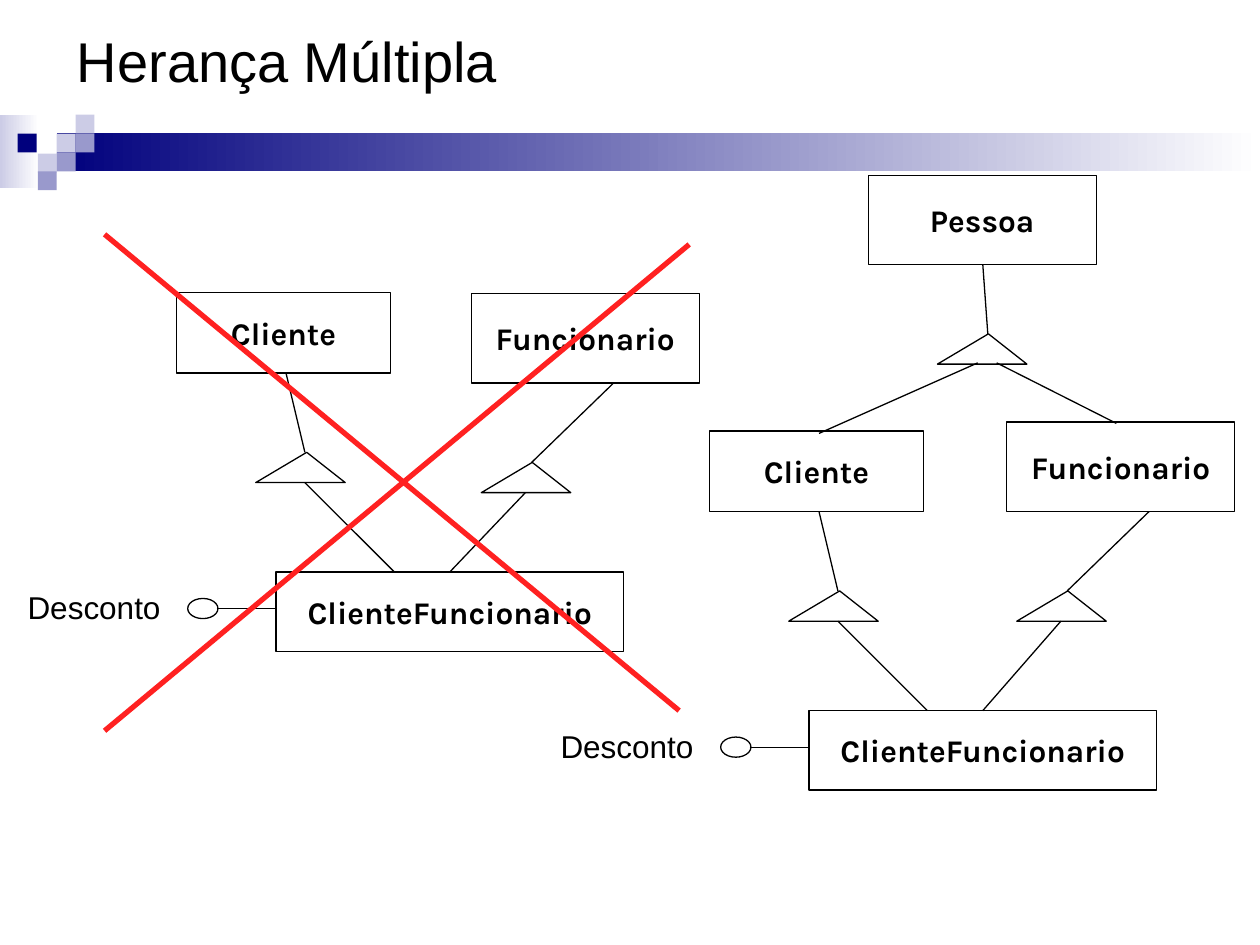
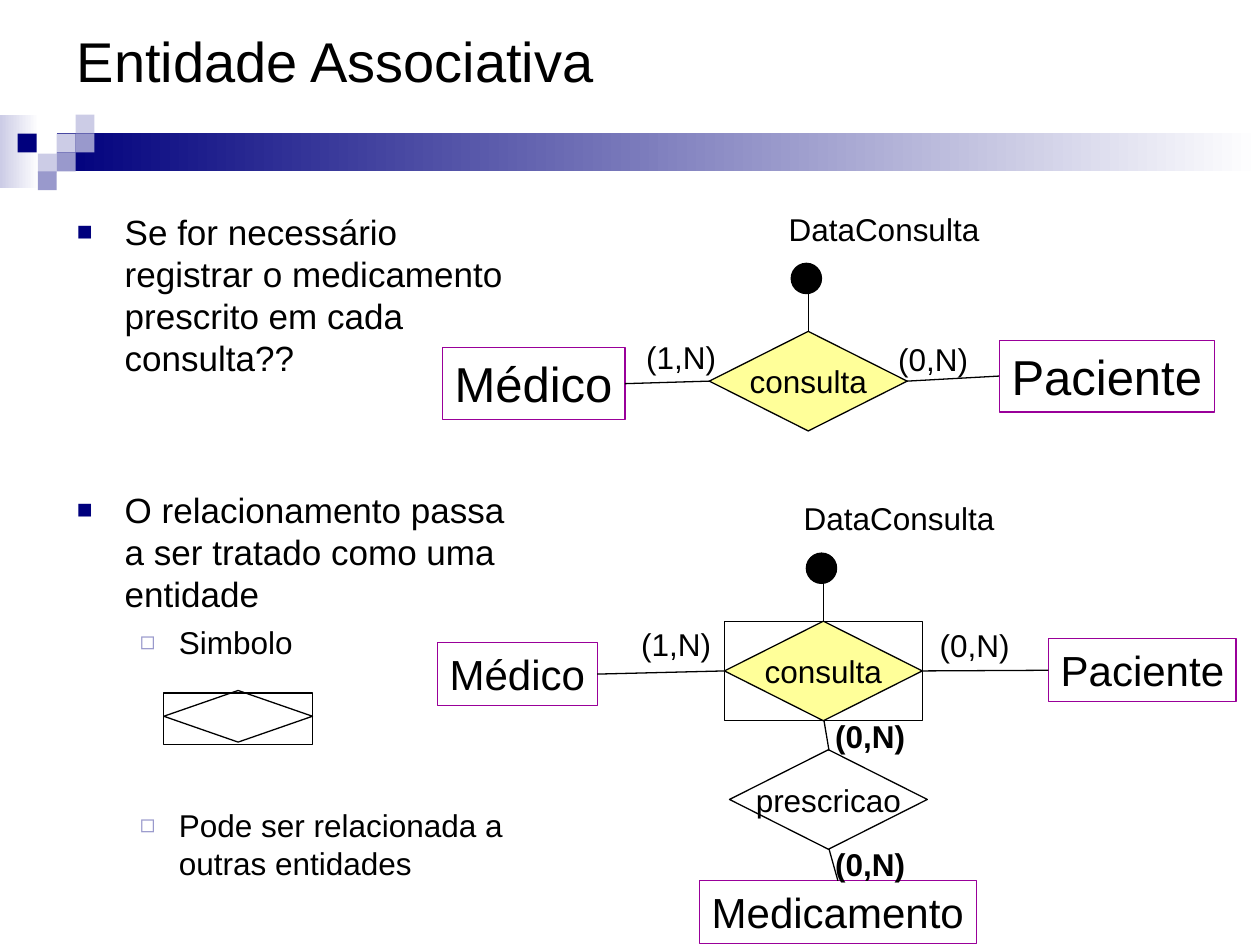
from dataclasses import dataclass

from lxml import etree
from pptx import Presentation
from pptx import util as u
from pptx.dml.color import RGBColor
from pptx.enum import shapes, text
from pptx.oxml.ns import qn

COLUMNS, ROWS = 100, 75
KIND = shapes.MSO_SHAPE


@dataclass(frozen=True)
class Theme:
    black: str = "000000"
    white: str = "FFFFFF"
    navy: str = "00007D"
    periwinkle: str = "9999CC"
    lavender: str = "CCCCE6"
    purple: str = "990099"
    yellow: str = "FFFF99"
    red: str = "FF2121"
    sans: str = "Arial"
    class_font: str = "Karla"
    title_size: int = 32
    entity_size: int = 28
    small_entity_size: int = 24
    body_size: int = 20
    label_size: int = 18
    thin: float = 0.75
    thick: float = 3


class Deck:
    def __init__(self, theme):
        self.theme = theme
        self.prs = Presentation()
        self.prs.slide_width, self.prs.slide_height = u.Inches(10), u.Inches(7.5)
        self.slide = None

    def x(self, columns):
        return round(self.prs.slide_width * columns / COLUMNS)

    def y(self, rows):
        return round(self.prs.slide_height * rows / ROWS)

    def box(self, left, top, width, height):
        return self.x(left), self.y(top), self.x(width), self.y(height)

    def place(self, holder, *box):
        holder.left, holder.top, holder.width, holder.height = self.box(*box)

    def new_slide(self, layout, heading):
        self.slide = self.prs.slides.add_slide(self.prs.slide_layouts[layout])
        title = self.slide.shapes.title
        self.place(title, 5.1, 0, 90, 9.5)
        self.set_words(title, heading, self.theme.title_size)

    def style(self, paragraph, size, font=None, bold=False):
        for run in paragraph.runs:
            run.font.name = font or self.theme.sans
            run.font.size = u.Pt(size)
            run.font.bold = bold
            run.font.color.rgb = RGBColor.from_string(self.theme.black)

    def set_words(self, holder, words, size, font=None, bold=False, align="LEFT",
                  anchor="MIDDLE", wrap=True):
        frame = holder.text_frame
        frame.text = words
        frame.word_wrap = wrap
        frame.auto_size = text.MSO_AUTO_SIZE.NONE
        frame.vertical_anchor = text.MSO_ANCHOR[anchor]
        paragraph = frame.paragraphs[0]
        paragraph.alignment = text.PP_ALIGN[align]
        self.style(paragraph, size, font, bold)

    def shape(self, kind, box, fill=None, line=None):
        figure = self.slide.shapes.add_shape(kind, *self.box(*box))
        figure.shadow.inherit = False
        if isinstance(fill, tuple):
            figure.fill.gradient()
            figure.fill.gradient_angle = 0
            for stop, color in zip(figure.fill.gradient_stops, fill):
                stop.color.rgb = RGBColor.from_string(color)
        elif fill:
            figure.fill.solid()
            figure.fill.fore_color.rgb = RGBColor.from_string(fill)
        else:
            figure.fill.background()
        if line:
            figure.line.color.rgb = RGBColor.from_string(line)
            figure.line.width = u.Pt(self.theme.thin)
        else:
            figure.line.fill.background()
        return figure

    def line(self, start, end, color=None, width=None):
        link = self.slide.shapes.add_connector(
            shapes.MSO_CONNECTOR.STRAIGHT,
            self.x(start[0]), self.y(start[1]), self.x(end[0]), self.y(end[1]))
        link.line.color.rgb = RGBColor.from_string(color or self.theme.black)
        link.line.width = u.Pt(width or self.theme.thin)
        etree.SubElement(link.element.spPr, qn("a:effectLst"))

    def label(self, words, left, top, width, bold=False):
        holder = self.slide.shapes.add_textbox(*self.box(left, top, width, 4))
        self.set_words(holder, words, self.theme.label_size, bold=bold,
                       anchor="TOP", wrap=False)

    def uml_class(self, name, *box):
        figure = self.shape(KIND.RECTANGLE, box, self.theme.white, self.theme.black)
        self.set_words(figure, name, self.theme.label_size, self.theme.class_font,
                       True, "CENTER", wrap=False)

    def inheritance(self, left, top):
        arrow = self.shape(KIND.ISOSCELES_TRIANGLE, (left, top, 7.1, 2.4),
                           self.theme.white, self.theme.black)
        arrow.adjustments[0] = 0.57

    def entity(self, name, box, size):
        figure = self.shape(KIND.RECTANGLE, box, line=self.theme.purple)
        self.set_words(figure, name, size, anchor="TOP", wrap=False)

    def relationship(self, name, left, top, fill=None):
        figure = self.shape(KIND.DIAMOND, (left, top, 15.7, 7.9), fill, self.theme.black)
        self.set_words(figure, name, self.theme.label_size, align="CENTER", wrap=False)

    def bullets(self, box, items):
        t = self.theme
        levels = [(t.body_size, 0.38, 0.38, "■", t.navy, 75),
                  (t.label_size, 0.81, 0.31, "◻", t.periwinkle, 80)]
        body = self.slide.placeholders[1]
        self.place(body, *box)
        frame = body.text_frame
        frame.text = "\n".join(words for words, _, _ in items)
        frame.auto_size = text.MSO_AUTO_SIZE.NONE
        for paragraph, (_, level, space) in zip(frame.paragraphs, items):
            size, margin, hanging, mark, color, share = levels[level]
            paragraph.level = level
            paragraph.space_before = u.Pt(space)
            self.style(paragraph, size)
            props = paragraph._p.get_or_add_pPr()
            props.set("marL", str(u.Inches(margin)))
            props.set("indent", str(-u.Inches(hanging)))
            tint = etree.SubElement(props, qn("a:buClr"))
            etree.SubElement(tint, qn("a:srgbClr"), val=color)
            etree.SubElement(props, qn("a:buSzPct"), val=str(share * 1000))
            etree.SubElement(props, qn("a:buFont"), typeface=t.sans)
            etree.SubElement(props, qn("a:buChar"), char=mark)

    def band_on_master(self):
        t = self.theme
        parts = [((0, 9.1, 3.1, 5.8), (t.lavender, t.white)),
                 ((4.5, 10.6, 95.5, 3), (t.navy, t.white))]
        tiles = [(4.5, 10.6, t.lavender), (6, 9.1, t.lavender), (6, 10.6, t.periwinkle),
                 (3, 12.2, t.lavender), (1.4, 10.6, t.navy), (4.5, 12.1, t.periwinkle),
                 (3, 13.6, t.periwinkle)]
        parts += [((left, top, 1.5, 1.5), color) for left, top, color in tiles]
        tree = self.prs.slide_master.element.cSld.spTree
        for box, fill in parts:
            tree.append(self.shape(KIND.RECTANGLE, box, fill).element)


def class_diagram(deck, client, employee):
    cx, cy = client
    ex, ey = employee
    sub_x, sub_y = cx + 7.9, cy + 22.2
    deck.uml_class("Cliente", cx, cy, 17, 6.4)
    deck.uml_class("Funcionario", ex, ey, 18.1, 7.1)
    deck.uml_class("ClienteFuncionario", sub_x, sub_y, 27.6, 6.3)
    deck.inheritance(cx + 6.3, cy + 12.7)
    deck.line((cx + 10.2, cy + 12.7), (cx + 8.7, cy + 6.4))
    deck.line((cx + 10.2, cy + 15.1), (sub_x + 9.4, sub_y))
    deck.inheritance(ex + 0.8, ey + 13.4)
    deck.line((ex + 11.3, ey + 7.1), (ex + 4.8, ey + 13.4))
    deck.line((ex + 4.3, ey + 15.8), (sub_x + 13.8, sub_y))
    deck.shape(KIND.OVAL, (sub_x - 7, sub_y + 2.1, 2.4, 1.6), line=deck.theme.black)
    deck.line((sub_x - 4.7, sub_y + 2.9), (sub_x, sub_y + 2.9))
    deck.label("Desconto", sub_x - 20.7, sub_y + 0.8, 13.2)


def consultation(deck, left, top, size, doctor, patient, doctor_label, patient_label):
    t = deck.theme
    middle, axis = left + 7.85, top + 3.95
    deck.entity("Médico", doctor, size)
    deck.entity("Paciente", patient, size)
    deck.relationship("consulta", left, top, t.yellow)
    deck.line((doctor[0] + doctor[2], doctor[1] + doctor[3] / 2), (left, axis))
    deck.line((left + 15.7, axis), (patient[0], patient[1] + patient[3] / 2))
    deck.label("(1,N)", *doctor_label, 7.5)
    deck.label("(0,N)", *patient_label, 7.5)
    deck.line((middle, top), (middle, top - 4))
    deck.shape(KIND.OVAL, (left + 6.5, top - 5.4, 2.4, 2.4), t.black, t.black)
    deck.label("DataConsulta", left + 5.3, top - 10.15, 17.1)


def multiple_inheritance(deck):
    t = deck.theme
    deck.new_slide(5, "Herança Múltipla")
    deck.band_on_master()
    class_diagram(deck, client=(14, 23.2), employee=(37.4, 23.3))
    class_diagram(deck, client=(56.3, 34.2), employee=(79.9, 33.5))
    deck.uml_class("Pessoa", 68.9, 13.9, 18.1, 7.1)
    deck.inheritance(74.4, 26.5)
    for start, end in [((78, 21), (78.4, 26.5)), ((65, 34.4), (77.6, 28.8)),
                       ((88.6, 33.6), (79.1, 28.8))]:
        deck.line(start, end)
    deck.line((8.3, 18.6), (53.9, 56.4), t.red, t.thick)
    deck.line((8.3, 58), (54.7, 19.4), t.red, t.thick)


def associative_entity(deck):
    t = deck.theme
    deck.new_slide(1, "Entidade Associativa")
    deck.bullets((5.1, 16.2, 37.8, 58.8), [
        ("Se for necessário registrar o medicamento prescrito em cada consulta??", 0, 5),
        ("O relacionamento passa a ser tratado como uma entidade", 0, 63),
        ("Simbolo", 1, 4.5),
        ("Pode ser relacionada a outras entidades", 1, 83)])
    consultation(deck, 56.3, 26.3, t.entity_size,
                 doctor=(35.1, 27.6, 14.5, 5.7), patient=(79.3, 27, 17.1, 5.7),
                 doctor_label=(50.3, 26.3), patient_label=(70.3, 26.5))
    consultation(deck, 57.5, 49.3, t.small_entity_size,
                 doctor=(34.7, 51, 12.7, 5), patient=(83.2, 50.7, 14.9, 5),
                 doctor_label=(49.9, 49.1), patient_label=(73.6, 49.2))
    deck.shape(KIND.RECTANGLE, (57.5, 49.3, 15.7, 7.9), line=t.black)
    deck.entity("Medicamento", (55.5, 69.9, 22, 5), t.small_entity_size)
    deck.shape(KIND.DIAMOND, (13, 54.8, 11.8, 4.1), line=t.black)
    deck.shape(KIND.RECTANGLE, (13, 55, 11.8, 4.1), line=t.black)
    deck.relationship("prescricao", 57.9, 59.5)
    deck.line((65.4, 57.2), (65.8, 59.6))
    deck.line((65.8, 67.4), (66.5, 69.9))
    for top in (56.4, 66.6):
        deck.label("(0,N)", 65.3, top, 7.5, bold=True)


def main():
    deck = Deck(Theme())
    multiple_inheritance(deck)
    associative_entity(deck)
    deck.prs.save("out.pptx")


if __name__ == "__main__":
    main()
